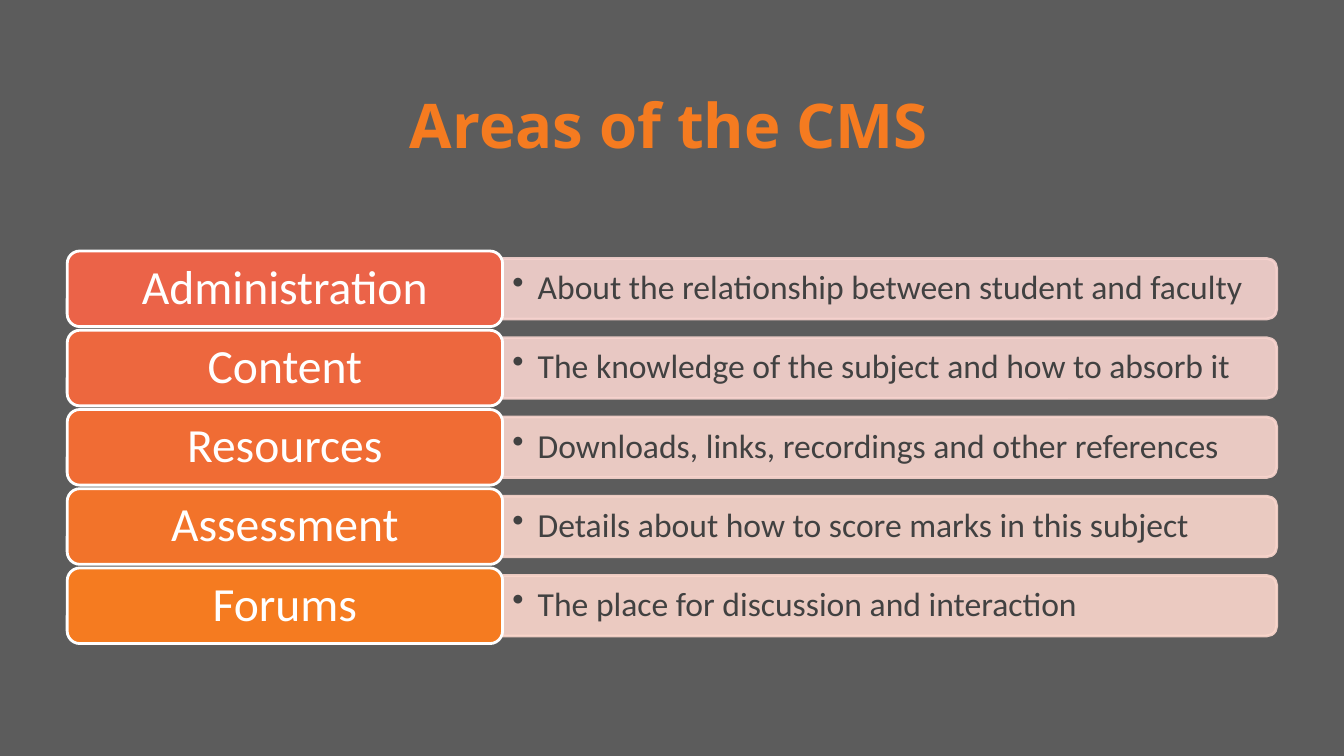
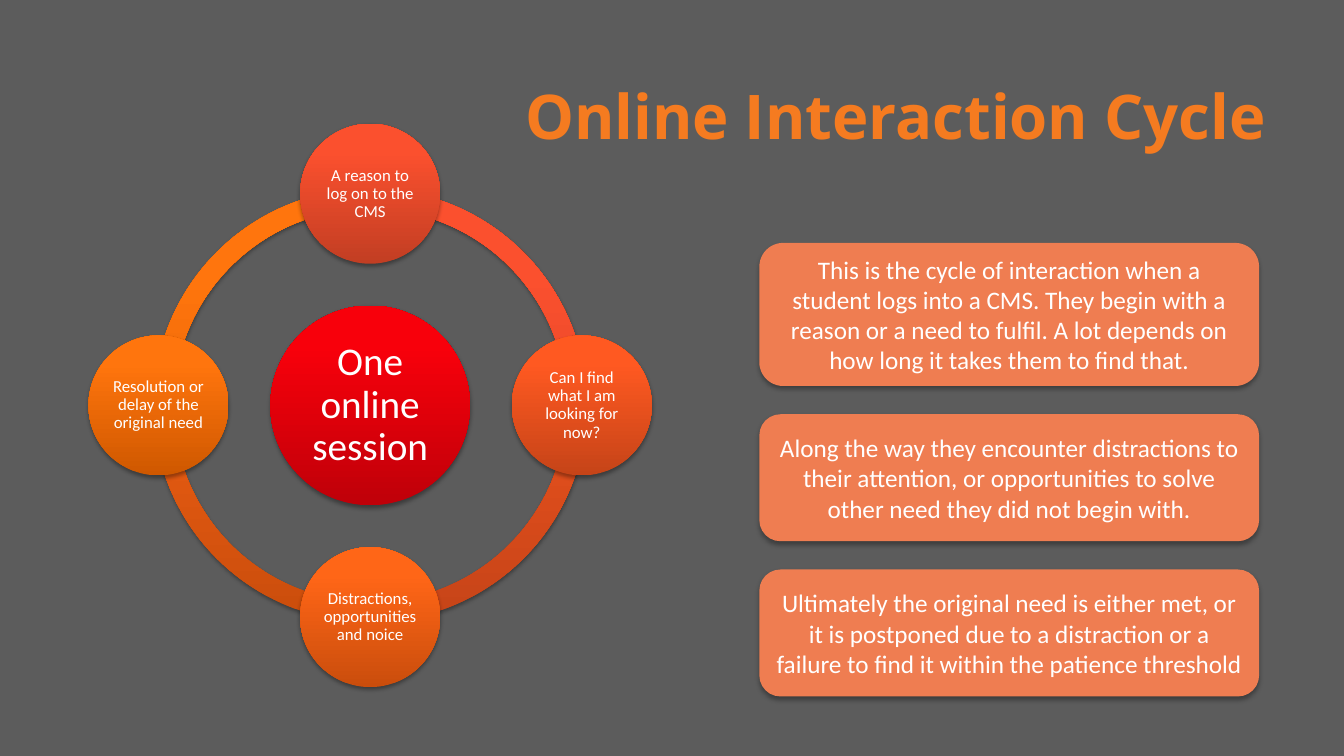
from math import cos, sin, radians
from lxml import etree
from pptx import Presentation
from pptx.dml.color import RGBColor
from pptx.enum.shapes import MSO_SHAPE
from pptx.enum.text import MSO_ANCHOR, MSO_AUTO_SIZE, PP_ALIGN
from pptx.oxml.ns import qn
from pptx.util import Pt

PILL, BAR = MSO_SHAPE.ROUNDED_RECTANGLE, MSO_SHAPE.ROUND_2_SAME_RECTANGLE
DISC, ARC = MSO_SHAPE.OVAL, MSO_SHAPE.BLOCK_ARC
LEFT, MID, RIGHT = PP_ALIGN.LEFT, PP_ALIGN.CENTER, PP_ALIGN.RIGHT
CENTRE, FIXED = MSO_ANCHOR.MIDDLE, MSO_AUTO_SIZE.NONE

GREY, ORANGE, WHITE, DARK, NOTE = "5C5C5C", "F57B20", "FFFFFF", "414141", "EF7D51"

AREAS = [
    ("Administration", "About the relationship between student and faculty", "EB6348", "F7D3CF"),
    ("Content", "The knowledge of the subject and how to absorb it", "ED673E", "F8D4CF"),
    ("Resources", "Downloads, links, recordings and other references", "F06C34", "F9D5CE"),
    ("Assessment", "Details about how to score marks in this subject", "F2732A", "FAD6CD"),
    ("Forums", "The place for discussion and interaction", "F57B20", "FBD7CC"),
]
HUB = ("One online session", ("BF0009", "F8000B"))
STEPS = [
    ("A reason to log on to the CMS", ("C23E23", "FB502E")),
    ("Can I find what I am looking for now?", ("C64418", "FF5921")),
    ("Distractions, opportunities and noice", ("CA4D0C", "FF6617")),
    ("Resolution or delay of the original need", ("CF5800", "FF750D")),
]
NOTES = [
    ("This is the cycle of interaction when a student logs into a CMS. They begin with a "
     "reason or a need to fulfil. A lot depends on how long it takes them to find that.", 102.2),
    ("Along the way they encounter distractions to their attention, or opportunities to solve "
     "other need they did not begin with.", 90.7),
    ("Ultimately the original need is either met, or it is postponed due to a distraction or a "
     "failure to find it within the patience threshold", 90.7),
]


def rgb(code):
    return RGBColor.from_string(code)


def node(parent, tag, **attrs):
    return etree.SubElement(parent, qn(tag), {k: str(v) for k, v in attrs.items()})


def write(shape, text, size=18, color=WHITE, font="Calibri", bold=False,
          align=MID, space=1, inset=(7.2, 3.6), bullet=False):
    frame = shape.text_frame
    frame.auto_size = FIXED
    frame.word_wrap = True
    frame.vertical_anchor = CENTRE
    frame.margin_left = frame.margin_right = Pt(inset[0])
    frame.margin_top = frame.margin_bottom = Pt(inset[1])
    para = frame.paragraphs[0]
    para.alignment, para.line_spacing = align, space
    if bullet:
        props = para._p.get_or_add_pPr()
        props.set("marL", str(Pt(18)))
        props.set("indent", str(-Pt(18)))
        node(props, "a:buChar", char="•")
    run = para.add_run()
    run.text = text
    face = run.font
    face.name, face.size, face.bold = font, Pt(size), bold
    face.color.rgb = rgb(color)


def draw(slide, kind, x, y, w, h, fill, line=None, shade=None):
    shape = slide.shapes.add_shape(kind, Pt(x), Pt(y), Pt(w), Pt(h))
    shape.shadow.inherit = False
    if isinstance(fill, tuple):
        shape.fill.gradient()
        shape.fill.gradient_angle = 90
        for stop, code, spot in zip(shape.fill.gradient_stops, fill, (0, 0.8)):
            stop.color.rgb, stop.position = rgb(code), spot
    else:
        shape.fill.solid()
        shape.fill.fore_color.rgb = rgb(fill)
    if line:
        shape.line.color.rgb, shape.line.width = rgb(line), Pt(2)
    else:
        shape.line.fill.background()
    if shade:
        alpha, blur, dist = shade
        cast = node(shape._element.spPr.find(qn("a:effectLst")), "a:outerShdw",
                    blurRad=Pt(blur), dist=Pt(dist), dir=5400000, rotWithShape=0)
        node(node(cast, "a:srgbClr", val="000000"), "a:alpha", val=alpha * 1000)
    return shape


def fade(shape, share):
    for color in shape._element.spPr.iter(qn("a:srgbClr")):
        node(color, "a:alpha", val=share * 1000)


def start(deck, text, x, y, align):
    slide = deck.slides.add_slide(deck.slide_layouts[5])
    title = slide.shapes.title
    title.left, title.top, title.width, title.height = Pt(x), Pt(y), Pt(864), Pt(90)
    write(title, text, size=44, color=ORANGE, font="Open Sans", bold=True, align=align)
    return slide


def areas(deck):
    slide = start(deck, "Areas of the CMS", 46, 43.2, MID)
    left, top, step = 48, 179.3, 56.6
    wide, high, long, thin = 311, 54, 553, 43.2
    edge = left + wide
    for i, (name, about, fill, pale) in enumerate(AREAS):
        y = top + i * step
        mid = y + high / 2
        bar = draw(slide, BAR, edge + (long - thin) / 2, mid - long / 2, thin, long, pale, pale)
        bar.rotation = 90
        fade(bar, 90)
        box = slide.shapes.add_textbox(Pt(edge), Pt(mid - 19.5), Pt(long - 2), Pt(39))
        write(box, about, size=24, color=DARK, align=LEFT, space=0.9, bullet=True)
        pill = draw(slide, PILL, left, y, wide, high, fill, WHITE)
        write(pill, name, size=34, space=0.9, inset=(10, 5))


def cycle(deck):
    slide = start(deck, "Online Interaction Cycle", 48, 37.4, RIGHT)
    cx, cy, ring, orbit = 264.4, 289.6, 309.6, 151.2
    soft, turn, quad = (35, 3.1, 1.8), 216, 54

    def disc(x, y, span, text, fill, **form):
        shape = draw(slide, DISC, x - span / 2, y - span / 2, span, span, fill, shade=soft)
        write(shape, text, space=0.9, **form)

    for i, (_, fill) in reversed(list(enumerate(STEPS))):
        arc = draw(slide, ARC, cx - ring / 2, cy - ring / 2, ring, ring, fill, shade=soft)
        for k in (0, 1):
            arc.adjustments[k] = (i + k - 1) * quad % turn
        arc.adjustments[2] = 0.046
    disc(cx, cy, 142.6, *HUB, size=28, inset=(2.8, 2.8))
    for i, (text, fill) in enumerate(STEPS):
        angle = radians(i * 90 - 90)
        disc(cx + orbit * cos(angle), cy + orbit * sin(angle), 100, text, fill,
             size=12, inset=(1.5, 1.5))

    y, gap = 173.5, 20.2
    for text, high in NOTES:
        note = draw(slide, PILL, 542.4, y, 357, high, NOTE, shade=(32, 3.5, 2.2))
        write(note, text)
        y += high + gap


def main():
    deck = Presentation()
    deck.slide_width, deck.slide_height = Pt(960), Pt(540)
    back = deck.slide_master.background.fill
    back.solid()
    back.fore_color.rgb = rgb(GREY)
    areas(deck)
    cycle(deck)
    deck.save("out.pptx")


if __name__ == "__main__":
    main()
